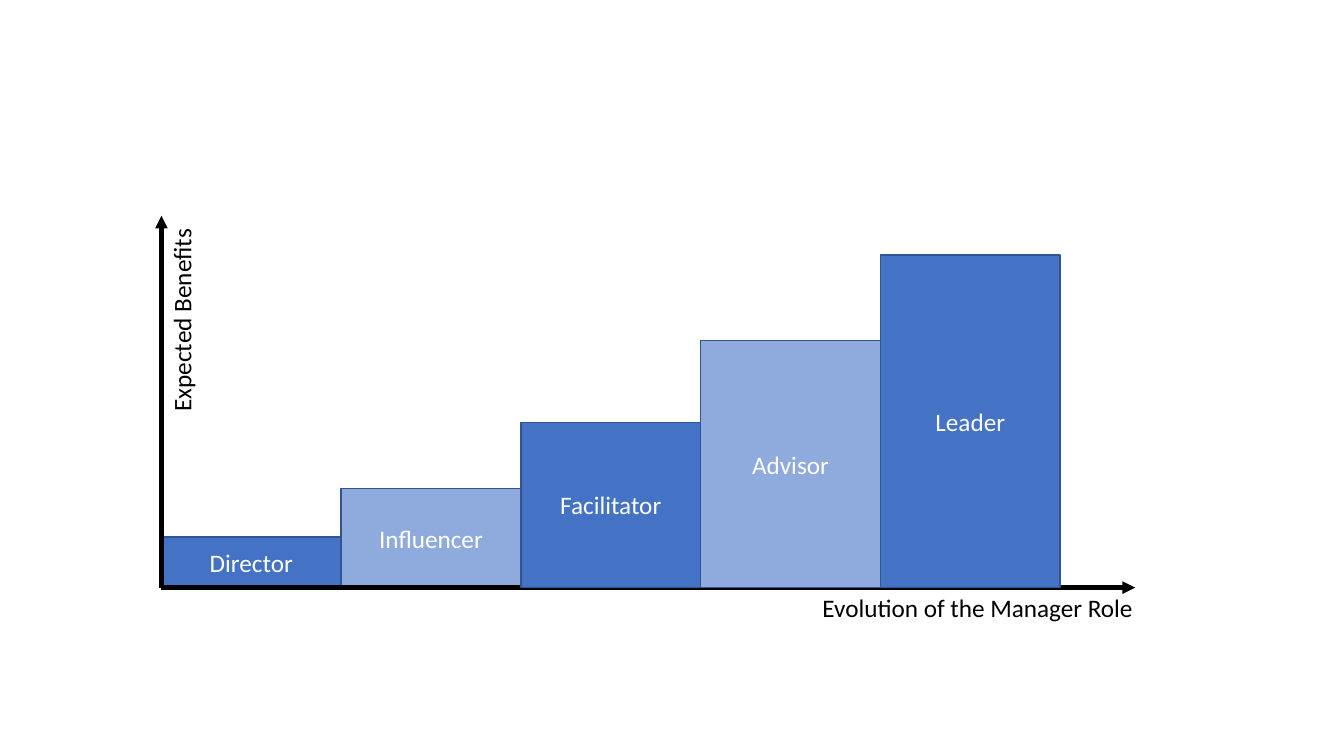
from lxml import etree
from pptx import Presentation, util as u
from pptx.dml.color import RGBColor
from pptx.enum import shapes, text
from pptx.oxml.ns import qn

COLORS = {
    "dark": "4472C4",
    "light": "8FAADC",
    "edge": "325491",
    "axis": "000000",
    "white": "FFFFFF",
}
ROLES = [
    ("Director", 36, "dark"),
    ("Influencer", 70.6, "light"),
    ("Facilitator", 118.1, "dark"),
    ("Advisor", 176.4, "light"),
    ("Leader", 237.6, "dark"),
]
STEP = 128.4


def color(name):
    return RGBColor.from_string(COLORS[name])


def write(box, words, ink):
    box.text_frame.text = words
    para = box.text_frame.paragraphs[0]
    span = para.runs[0]
    span.font.name = "Calibri"
    span.font.size = u.Pt(18)
    span.font.color.rgb = color(ink)
    return para


def add_step(page, left, base, index):
    role, height, fill = ROLES[index]
    box = page.shapes.add_shape(
        shapes.MSO_SHAPE.RECTANGLE,
        u.Pt(left + index * STEP), u.Pt(base - height), u.Pt(STEP), u.Pt(height))
    box.shadow.inherit = False
    box.fill.solid()
    box.fill.fore_color.rgb = color(fill)
    box.line.color.rgb = color("edge")
    box.line.width = u.Pt(1)
    box.text_frame.vertical_anchor = text.MSO_ANCHOR.MIDDLE
    write(box, role, "white").alignment = text.PP_ALIGN.CENTER


def add_axis(page, left, base, right, top):
    axis = page.shapes.add_connector(
        shapes.MSO_CONNECTOR.STRAIGHT, u.Pt(left), u.Pt(base), u.Pt(right), u.Pt(top))
    axis.line.color.rgb = color("axis")
    axis.line.width = u.Pt(3)
    etree.SubElement(axis.line._get_or_add_ln(), qn("a:tailEnd"), type="triangle")
    etree.SubElement(axis._element.spPr, qn("a:effectLst"))


def add_label(page, words, left, top, width, rotation=0):
    box = page.shapes.add_textbox(u.Pt(left), u.Pt(top), u.Pt(width), u.Pt(29.1))
    box.rotation = rotation
    box.text_frame.word_wrap = False
    box.text_frame.auto_size = text.MSO_AUTO_SIZE.SHAPE_TO_FIT_TEXT
    write(box, words, "axis")


def add_staircase(page, left, top, width, height):
    base = top + height
    for index in (1, 0):
        add_step(page, left, base, index)
    add_axis(page, left, base, left + width, base)
    add_axis(page, left, base, left, top)
    add_label(page, "Expected Benefits", left - 59, top + 59, 146.9, 270)
    add_label(page, "Evolution of the Manager Role", left + width - 230.4, base, 239)
    for index in (2, 3, 4):
        add_step(page, left, base, index)


def main():
    deck = Presentation()
    deck.slide_width, deck.slide_height = u.Pt(960), u.Pt(540)
    page = deck.slides.add_slide(deck.slide_layouts[6])
    add_staircase(page, 115.3, 154.1, 695.5, 265.6)
    deck.save("out.pptx")


if __name__ == "__main__":
    main()
